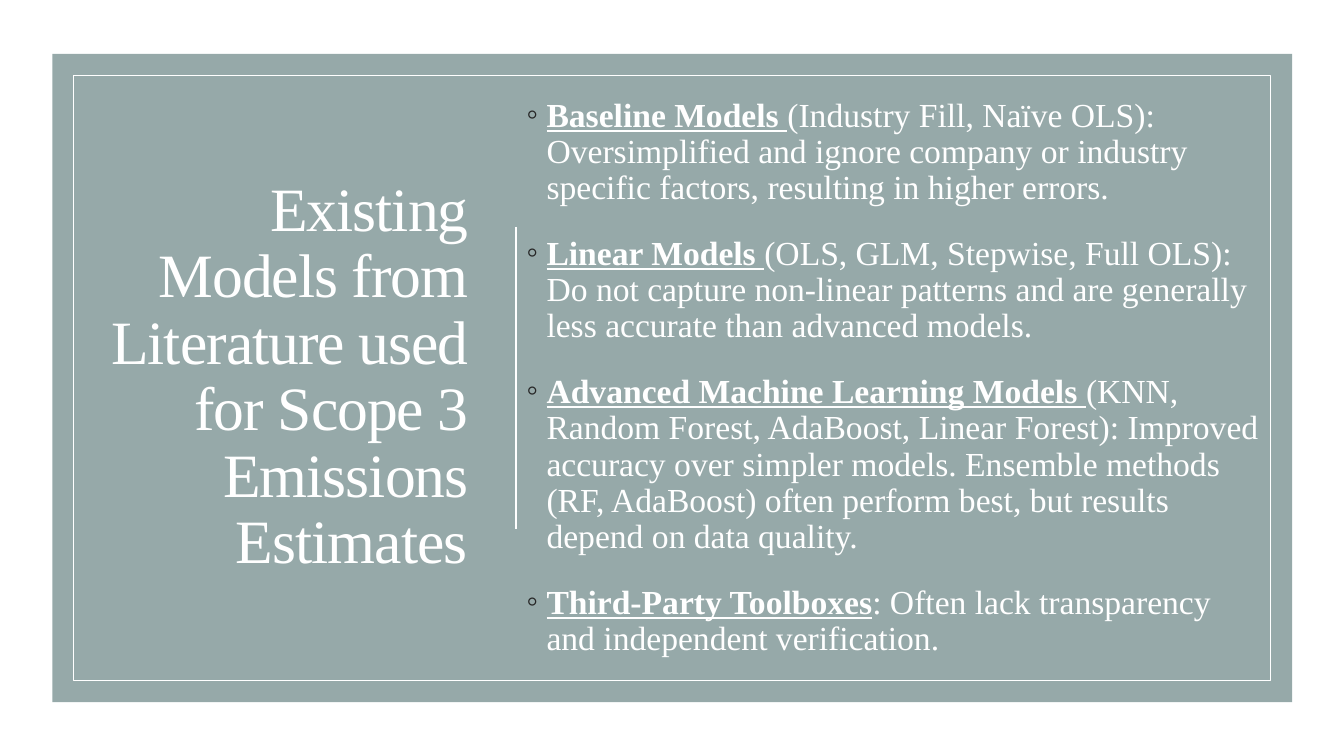
from pptx import Presentation
from pptx.dml.color import RGBColor
from pptx.enum.shapes import MSO_CONNECTOR, MSO_SHAPE
from pptx.enum.text import MSO_ANCHOR, MSO_AUTO_SIZE, PP_ALIGN
from pptx.oxml.ns import qn
from pptx.util import Pt
from lxml.etree import SubElement

WHITE = RGBColor(0xFF, 0xFF, 0xFF)
SAGE = RGBColor(0x96, 0xA9, 0xA9)
DARK = RGBColor(0x26, 0x26, 0x26)
FONT = "Times New Roman"

deck = Presentation()
deck.slide_width, deck.slide_height = Pt(960), Pt(540)
slide = deck.slides.add_slide(deck.slide_layouts[1])
title, body = slide.placeholders


def add_rect(x, y, w, h, fill=None):
    rect = slide.shapes.add_shape(MSO_SHAPE.RECTANGLE, Pt(x), Pt(y), Pt(w), Pt(h))
    rect.shadow.inherit = False
    rect.line.fill.background()
    if fill is None:
        rect.fill.background()
    else:
        rect.fill.solid()
        rect.fill.fore_color.rgb = fill
    return rect


def set_box(box, x, y, w, h):
    box.left, box.top, box.width, box.height = Pt(x), Pt(y), Pt(w), Pt(h)
    frame = box.text_frame
    frame.word_wrap = True
    frame.auto_size = MSO_AUTO_SIZE.NONE
    frame.vertical_anchor = MSO_ANCHOR.MIDDLE
    # Keep the text in front of the panel
    slide.shapes._spTree.append(box._element)
    return frame


# Backdrop and panel
add_rect(0, 0, 960, 540, WHITE)
add_rect(37.5, 38.5, 885.5, 463, SAGE)

# Divider between title and list
rule = slide.shapes.add_connector(
    MSO_CONNECTOR.STRAIGHT, Pt(368.8), Pt(162), Pt(368.8), Pt(378))
rule.line.color.rgb = WHITE
rule.line.width = Pt(1.25)
SubElement(rule._element.spPr, qn("a:effectLst"))

# Thin inner border
border = add_rect(52.5, 54, 855, 432)
border.line.color.rgb = WHITE
border.line.width = Pt(0.5)

# Title
para = set_box(title, 68.4, 78.5, 272.9, 382.3).paragraphs[0]
para.alignment = PP_ALIGN.RIGHT
para.line_spacing = 0.9
run = para.add_run()
run.text = "Existing Models from Literature used for Scope 3 Emissions Estimates"
run.font.name, run.font.size = FONT, Pt(44)
run.font.color.rgb = WHITE
run.font._element.set("spc", "-70")

# List of model families
models = [
    ("Baseline Models ",
     "(Industry Fill, Naïve OLS): Oversimplified and ignore company or industry "
     "specific factors, resulting in higher errors."),
    ("Linear Models ",
     "(OLS, GLM, Stepwise, Full OLS): Do not capture non-linear patterns and are "
     "generally less accurate than advanced models."),
    ("Advanced Machine Learning Models ",
     "(KNN, Random Forest, AdaBoost, Linear Forest): Improved accuracy over simpler "
     "models. Ensemble methods (RF, AdaBoost) often perform best, but results depend "
     "on data quality."),
    ("Third-Party Toolboxes",
     ": Often lack transparency and independent verification."),
]
frame = set_box(body, 368.8, 54, 538.7, 432)
for i, (name, note) in enumerate(models):
    para = frame.add_paragraph() if i else frame.paragraphs[0]
    para.line_spacing = 0.9
    para.space_before = Pt(9 if i else 0)
    para.space_after = Pt(12)
    props = para._p.get_or_add_pPr()
    props.set("marL", str(Pt(14.4)))
    props.set("indent", str(Pt(-14.4)))
    tint = SubElement(props, qn("a:buClr"))
    SubElement(tint, qn("a:srgbClr"), val=str(DARK))
    SubElement(props, qn("a:buFont"), typeface=FONT)
    SubElement(props, qn("a:buChar"), char="◦")
    for text, strong in ((name, True), (note, False)):
        run = para.add_run()
        run.text = text
        run.font.name, run.font.size = FONT, Pt(24)
        run.font.bold = run.font.underline = strong
        run.font.color.rgb = WHITE

deck.save("out.pptx")
